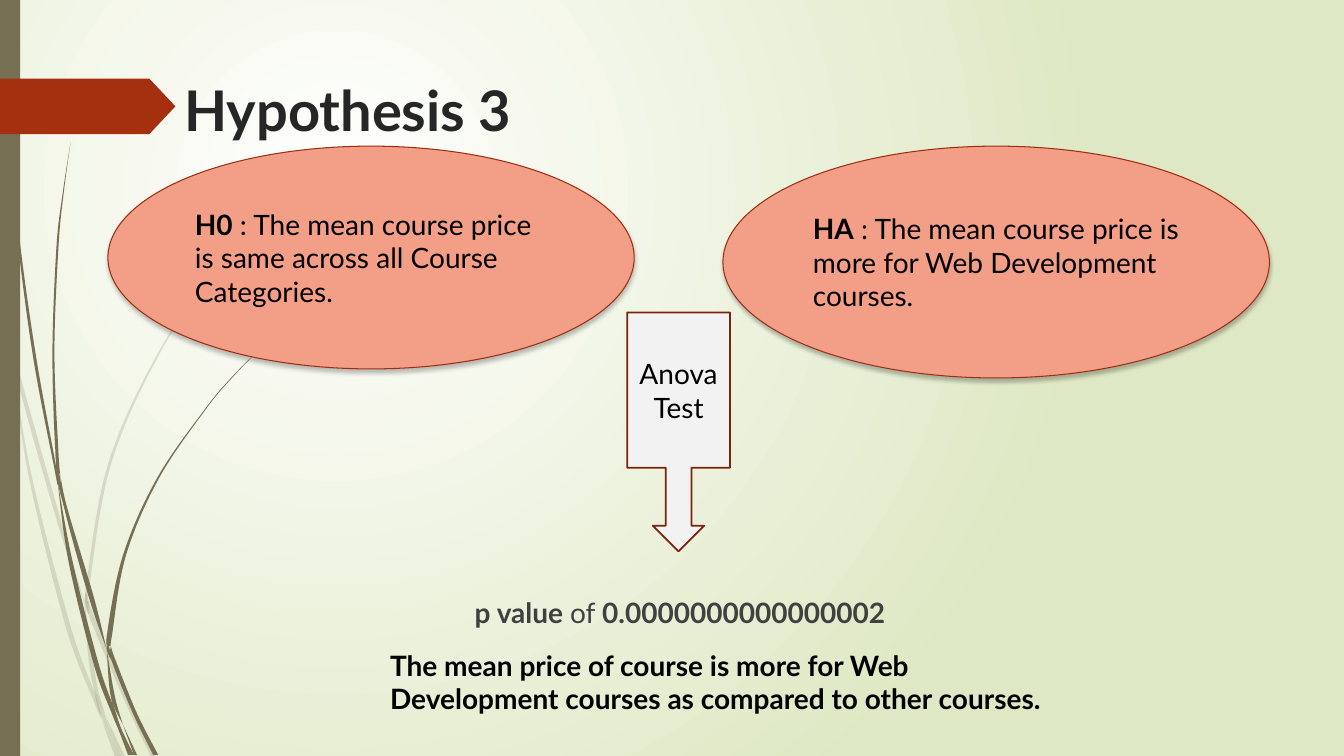
from pptx import Presentation
from pptx.dml.color import RGBColor
from pptx.enum.shapes import MSO_SHAPE
from pptx.enum.text import MSO_ANCHOR, PP_ALIGN
from pptx.oxml import parse_xml
from pptx.oxml.ns import nsdecls, qn
from pptx.util import Pt

PX = 9144  # 100 px to the inch
OLIVE, RED, SALMON, BLACK = "766F54", "A53010", "F39E87", "000000"


def paint(fill, color):
    """Make a shape, line or font fill solid in one hex colour."""
    fill.solid()
    fill.fore_color.rgb = RGBColor.from_string(color)


def write(shape, *spans, size=20, color=BLACK, align=PP_ALIGN.LEFT, anchor=MSO_ANCHOR.MIDDLE):
    """Fill a shape with one paragraph of (text, bold) spans."""
    frame = shape.text_frame
    frame.word_wrap = True
    frame.vertical_anchor = anchor
    para = frame.paragraphs[0]
    para.alignment = align
    for text, bold in spans:
        span = para.add_run()
        span.text = text
        span.font.name = "Lato"
        span.font.size = Pt(size)
        span.font.bold = bold
        paint(span.font.fill, color)


deck = Presentation()
deck.slide_width, deck.slide_height = 1333 * PX, 750 * PX
page = deck.slides.add_slide(deck.slide_layouts[6])

# Background: white glow fading to pale green
backdrop = page.background.fill
backdrop.gradient()
for stop, color in zip(backdrop.gradient_stops, ("FFFFFF", "DFE8C4")):
    stop.color.rgb = RGBColor.from_string(color)
direction = next(page.element.iter(qn("a:lin")))
direction.getparent().replace(direction, parse_xml(
    f'<a:path {nsdecls("a")} path="circle">'
    '<a:fillToRect l="50000" t="50000" r="100000" b="100000"/></a:path>'))

# Grass: each blade is a list of knots (left edge, y, width)
pale_blades = [
    [(0, 282, 0), (0, 299, 5), (11, 350, 0)],
    [(14, 345, 0), (17, 376, 4), (58, 522, 4), (84, 599, 0)],
    [(88, 596, 0), (88, 610, 5), (123, 694, 4), (150, 751, 5)],
    [(105, 711, 0), (119, 751, 5)],
    [(11, 350, 0), (28, 470, 3), (65, 621, 5), (92, 693, 4), (101, 714, 0)],
    [(84, 599, 0), (87, 646, 4), (93, 683, 4), (105, 711, 0)],
    [(312, 153, 0), (268, 197, 1), (228, 244, 1), (158, 348, 2), (107, 461, 3),
     (85, 586, 3), (88, 596, 0)],
    [(101, 714, 0), (114, 751, 5)],
    [(85, 586, 0), (84, 599, 4), (88, 610, 0)],
    [(93, 683, 0), (99, 707, 4), (119, 751, 0)],
]
dark_blades = [
    [(3, 0, 1), (7, 110, 1), (17, 233, 2), (33, 355, 3), (54, 465, 2), (57, 481, 0)],
    [(60, 472, 0), (64, 505, 3), (88, 592, 5), (106, 645, 0)],
    [(110, 641, 0), (111, 656, 4), (132, 708, 4), (152, 749, 5)],
    [(57, 477, 0), (68, 557, 4), (93, 659, 5), (111, 708, 4), (117, 722, 0)],
    [(70, 141, 0), (62, 193, 1), (56, 245, 2), (52, 349, 2), (55, 449, 3), (60, 472, 0)],
    [(122, 719, 0), (133, 749, 3)],
    [(55, 449, 0), (57, 477, 3), (64, 505, 0)],
    [(260, 344, 0), (231, 373, 1), (204, 405, 1), (156, 474, 2), (122, 551, 3),
     (106, 631, 5), (110, 641, 0)],
    [(117, 722, 0), (127, 749, 4)],
    [(106, 645, 0), (110, 691, 4), (122, 719, 0)],
    [(106, 631, 0), (106, 645, 3), (111, 656, 0)],
    [(110, 691, 0), (117, 722, 3), (130, 749, 3)],
]
for opacity, blades in ((20, pale_blades), (100, dark_blades)):
    for knots in blades:
        outline = [(x * PX, y * PX) for x, y, width in knots]
        outline += [((x + width) * PX, y * PX) for x, y, width in reversed(knots)]
        builder = page.shapes.build_freeform(*outline[0])
        builder.add_line_segments(outline[1:], close=True)
        blade = builder.convert_to_shape()
        blade.shadow.inherit = False
        blade.line.fill.background()
        paint(blade.fill, OLIVE)
        if opacity < 100:
            tint = next(blade.element.spPr.iter(qn("a:srgbClr")))
            tint.append(parse_xml(f'<a:alpha {nsdecls("a")} val="{opacity * 1000}"/>'))

        # Round each long edge into cubic curves through its knots
        corners = list(next(blade.element.iter(qn("a:path"))).iter(qn("a:pt")))
        for edge in (corners[:len(knots)], corners[len(knots):]):
            spots = [(int(corner.get("x")), int(corner.get("y"))) for corner in edge]
            spots = [spots[0], *spots, spots[-1]]
            for i, corner in enumerate(edge[1:]):
                before, start, end, after = spots[i:i + 4]
                leave = [s + (e - b) // 6 for b, s, e in zip(before, start, end)]
                arrive = [e - (a - s) // 6 for s, e, a in zip(start, end, after)]
                points = "".join(f'<a:pt x="{x}" y="{y}"/>' for x, y in (leave, arrive, end))
                straight = corner.getparent()
                straight.getparent().replace(straight, parse_xml(
                    f'<a:cubicBezTo {nsdecls("a")}>{points}</a:cubicBezTo>'))

# Preset shapes: kind, box, fill, line colour, line width, spans, alignment
shapes = [
    (MSO_SHAPE.RECTANGLE, (0, 0, 20, 750), OLIVE, None, 0, [], PP_ALIGN.LEFT),
    (MSO_SHAPE.PENTAGON, (0, 78, 174, 55), RED, None, 0, [], PP_ALIGN.LEFT),
    (MSO_SHAPE.OVAL, (107, 145, 522, 221), SALMON, "9E2E0F", 0.75,
     [("H0", True), (" : The mean course price is same across all Course Categories.", False)],
     PP_ALIGN.LEFT),
    (MSO_SHAPE.OVAL, (717, 145, 542, 230), SALMON, "9E2E0F", 0.75,
     [("HA", True), (" : The mean course price is more for Web Development courses.", False)],
     PP_ALIGN.LEFT),
    (MSO_SHAPE.DOWN_ARROW_CALLOUT, (622, 310, 102, 237), "F2F2F2", "7A240C", 1.25,
     [("Anova Test", False)], PP_ALIGN.CENTER),
]
for kind, box, color, edge, weight, spans, align in shapes:
    shape = page.shapes.add_shape(kind, *(side * PX for side in box))
    shape.shadow.inherit = False
    paint(shape.fill, color)
    if edge:
        paint(shape.line.fill, edge)
        shape.line.width = Pt(weight)
    else:
        shape.line.fill.background()
    if spans:
        write(shape, *spans, align=align)
    if kind == MSO_SHAPE.PENTAGON:
        shape.adjustments[0] = 0.47
    if kind == MSO_SHAPE.OVAL:
        shape.text_frame.margin_right = 7 * PX
        shape.element.spPr.find(qn("a:effectLst")).append(parse_xml(
            f'<a:outerShdw {nsdecls("a")} blurRad="38100" dist="25400" dir="5400000" '
            'rotWithShape="0"><a:srgbClr val="000000"><a:alpha val="25000"/>'
            '</a:srgbClr></a:outerShdw>'))

# Title, test result and conclusion
texts = [
    ((173, 70, 1150, 76), [("Hypothesis 3", True)], 40, "262626"),
    ((461, 586, 546, 43),
     [("p value ", True), ("of ", False), ("0.0000000000000002", True)], 20, "404040"),
    ((377, 638, 693, 108),
     [("The mean price of course is more for Web Development courses "
       "as compared to other courses.", True)], 20, BLACK),
]
for box, spans, size, color in texts:
    textbox = page.shapes.add_textbox(*(side * PX for side in box))
    write(textbox, *spans, size=size, color=color, anchor=MSO_ANCHOR.TOP)

deck.save("out.pptx")
